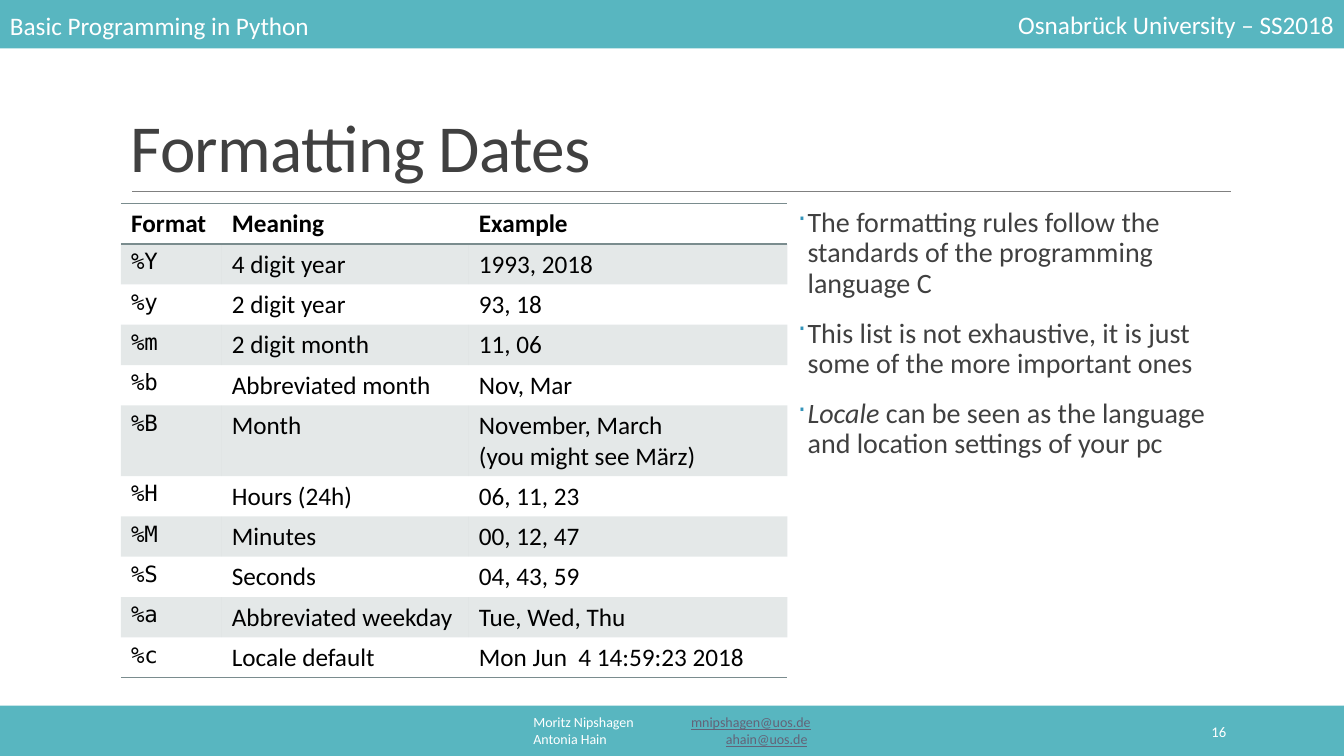
from dataclasses import dataclass, replace

from lxml import etree
from pptx import Presentation
from pptx.dml.color import RGBColor
from pptx.enum.shapes import MSO_CONNECTOR, MSO_SHAPE
from pptx.enum.text import MSO_ANCHOR, PP_ALIGN
from pptx.oxml.ns import qn
from pptx.util import Inches, Pt

TOP, MIDDLE, BOTTOM = MSO_ANCHOR.TOP, MSO_ANCHOR.MIDDLE, MSO_ANCHOR.BOTTOM
LEFT, CENTER, RIGHT = PP_ALIGN.LEFT, PP_ALIGN.CENTER, PP_ALIGN.RIGHT
STRAIGHT, RECTANGLE = MSO_CONNECTOR.STRAIGHT, MSO_SHAPE.RECTANGLE

WHITE = RGBColor(0xFF, 0xFF, 0xFF)
BLACK = RGBColor(0, 0, 0)
TEAL = RGBColor(0x58, 0xB6, 0xC0)
SLATE = RGBColor(0x7A, 0x8C, 0x8E)
GRAY = RGBColor(0x80, 0x80, 0x80)
CHARCOAL = RGBColor(0x40, 0x40, 0x40)
LINK = RGBColor(0x63, 0x63, 0x78)
BLUE = RGBColor(0x34, 0x94, 0xBA)

SLIDE_WIDTH, BAR_HEIGHT = 13.33, 0.5
PLAIN_TABLE = "{2D5ABB26-0587-4C30-8999-92F81FD0307C}"
COLUMN_WIDTHS = (1, 2.45, 3.16)
ROW_HEIGHT = 0.4


@dataclass(frozen=True)
class Style:
    size: float
    color: RGBColor
    font: str = "Calibri"
    bold: bool = False
    italic: bool = False
    underline: bool = False
    spacing: int = 0


@dataclass(frozen=True)
class Box:
    left: float
    top: float
    width: float
    height: float
    anchor: MSO_ANCHOR = MIDDLE
    align: PP_ALIGN = LEFT
    side_inset: float = 0.1


HEADER = Style(18, WHITE)
FOOTER = Style(10, WHITE)
EMAIL = replace(FOOTER, color=LINK, underline=True)
TITLE = Style(48, CHARCOAL, spacing=-50)
NOTE = Style(20, CHARCOAL)
CELL = Style(18, BLACK)
CODE = Style(16, BLACK, "DejaVu Sans Mono")

FORMATS = [
    ("Format", "Meaning", "Example"),
    ("%Y", "4 digit year", "1993, 2018"),
    ("%y", "2 digit year", "93, 18"),
    ("%m", "2 digit month", "11, 06"),
    ("%b", "Abbreviated month", "Nov, Mar"),
    ("%B", "Month", "November, March\n(you might see März)"),
    ("%H", "Hours (24h)", "06, 11, 23"),
    ("%M", "Minutes", "00, 12, 47"),
    ("%S", "Seconds", "04, 43, 59"),
    ("%a", "Abbreviated weekday", "Tue, Wed, Thu"),
    ("%c", "Locale default", "Mon Jun  4 14:59:23 2018"),
]
NOTES = [
    [("The formatting rules follow the standards of the programming language C", NOTE)],
    [("This list is not exhaustive, it is just some of the more important ones", NOTE)],
    [("Locale", replace(NOTE, italic=True)),
     (" can be seen as the language and location settings of your pc", NOTE)],
]
AUTHORS = [
    [("Moritz Nipshagen\t", FOOTER), ("mnipshagen@uos.de", EMAIL)],
    [("Antonia Hain\t", FOOTER), ("ahain@uos.de", EMAIL), (" ", FOOTER)],
]


def add_text(paragraph, text: str, style: Style) -> None:
    """Add styled runs, with a line break at each newline."""
    for index, line in enumerate(text.split("\n")):
        if index:
            paragraph.add_line_break()
        run = paragraph.add_run()
        run.text = line
        font = run.font
        font.name, font.size, font.color.rgb = style.font, Pt(style.size), style.color
        font.bold, font.italic, font.underline = style.bold, style.italic, style.underline
        if style.spacing:
            run._r.get_or_add_rPr().set("spc", str(style.spacing))


def add_box(slide, box: Box, paragraphs: list) -> list:
    """Add a text box and return its paragraphs."""
    frame = slide.shapes.add_textbox(
        Inches(box.left), Inches(box.top), Inches(box.width), Inches(box.height)).text_frame
    frame.word_wrap, frame.vertical_anchor = True, box.anchor
    frame.margin_left = frame.margin_right = Inches(box.side_inset)
    for index, runs in enumerate(paragraphs):
        paragraph = frame.add_paragraph() if index else frame.paragraphs[0]
        paragraph.alignment = box.align
        for text, style in runs:
            add_text(paragraph, text, style)
    return list(frame.paragraphs)


def add_bar(slide, top: float) -> None:
    """Add a teal bar across the slide."""
    bar = slide.shapes.add_shape(
        RECTANGLE, 0, Inches(top), Inches(SLIDE_WIDTH), Inches(BAR_HEIGHT))
    bar.shadow.inherit = False
    bar.fill.solid()
    bar.fill.fore_color.rgb = TEAL
    bar.line.fill.background()


def add_rule(slide, left: float, right: float, y: float) -> None:
    """Add the thin line under the title."""
    rule = slide.shapes.add_connector(
        STRAIGHT, Inches(left), Inches(y), Inches(right), Inches(y))
    rule.line.color.rgb, rule.line.width = GRAY, Pt(0.5)
    etree.SubElement(rule._element.spPr, qn("a:effectLst"))


def add_color(parent, color: RGBColor):
    """Add a solid fill element and return its colour element."""
    fill = etree.SubElement(parent, qn("a:solidFill"))
    return etree.SubElement(fill, qn("a:srgbClr"), val=str(color))


def add_border(cell, side: str) -> None:
    """Draw one horizontal edge of a cell."""
    edge = etree.SubElement(cell._tc.get_or_add_tcPr(), qn(f"a:{side}"), w=str(Pt(1)))
    add_color(edge, SLATE)


def add_bullet(paragraph) -> None:
    """Give a note its spacing, hanging indent and blue dot."""
    paragraph.line_spacing = 0.9
    paragraph.space_before, paragraph.space_after = Pt(12), Pt(2)
    properties = paragraph._p.get_or_add_pPr()
    properties.set("marL", str(Inches(0.1)))
    properties.set("indent", str(-Inches(0.1)))
    bullet_color = etree.SubElement(properties, qn("a:buClr"))
    etree.SubElement(bullet_color, qn("a:srgbClr"), val=str(BLUE))
    etree.SubElement(properties, qn("a:buChar"), char="·")


def add_formats(slide, left: float, top: float) -> None:
    """Add the table of date formats."""
    table = slide.shapes.add_table(
        len(FORMATS), len(COLUMN_WIDTHS), Inches(left), Inches(top),
        Inches(sum(COLUMN_WIDTHS)), Inches(ROW_HEIGHT * len(FORMATS))).table
    table._tbl.tblPr.find(qn("a:tableStyleId")).text = PLAIN_TABLE
    table.horz_banding = False
    for column, width in zip(table.columns, COLUMN_WIDTHS):
        column.width = Inches(width)
    for r, entries in enumerate(FORMATS):
        table.rows[r].height = Inches(ROW_HEIGHT)
        for c, text in enumerate(entries):
            cell = table.cell(r, c)
            style = CODE if r and c == 0 else replace(CELL, bold=r == 0)
            add_text(cell.text_frame.paragraphs[0], text, style)
            if r == 0:
                add_border(cell, "lnT")
            if r in (0, len(FORMATS) - 1):
                add_border(cell, "lnB")
            if r % 2:
                tint = add_color(cell._tc.get_or_add_tcPr(), SLATE)
                etree.SubElement(tint, qn("a:alpha"), val="20000")
            else:
                cell.fill.background()


def build() -> None:
    """Build the slide and save it."""
    deck = Presentation()
    deck.slide_width, deck.slide_height = Inches(SLIDE_WIDTH), Inches(7.5)
    slide = deck.slides.add_slide(deck.slide_layouts[6])

    add_rule(slide, 1.31, 12.21, 1.9)
    for top in (7, -0.02):
        add_bar(slide, top)
    for author in add_box(slide, Box(4.03, 7.05, 5.27, 0.4, align=CENTER), AUTHORS):
        tabs = etree.SubElement(author._p.get_or_add_pPr(), qn("a:tabLst"))
        etree.SubElement(tabs, qn("a:tab"), pos=str(Inches(2.75)), algn="r")
    add_box(slide, Box(0, 0.05, 5.27, 0.4), [[("Basic Programming in Python", HEADER)]])
    add_box(slide, Box(8.06, 0.04, 5.27, 0.4, align=RIGHT),
            [[("Osnabrück University – SS2018", HEADER)]])
    title = add_box(slide, Box(1.2, 1.08, 11, 0.82, BOTTOM), [[("Formatting Dates", TITLE)]])
    title[0].line_spacing = 0.85
    add_formats(slide, 1.2, 2.02)
    for note in add_box(slide, Box(7.91, 2.02, 4.29, 4.4, TOP, side_inset=0), NOTES):
        add_bullet(note)
    add_box(slide, Box(10.83, 7.06, 1.43, 0.4, align=RIGHT), [[("16", Style(10.5, WHITE))]])
    deck.save("out.pptx")


build()
